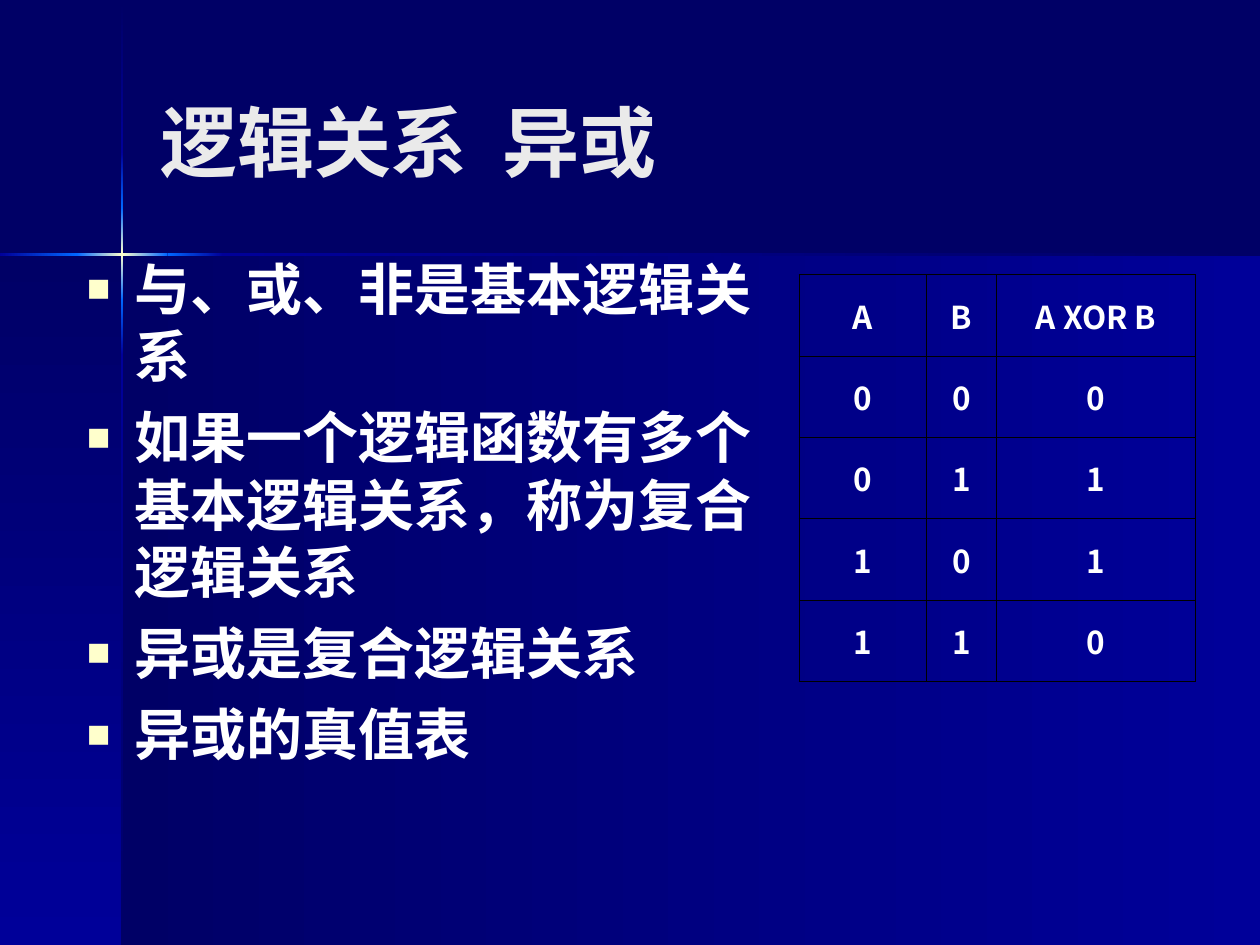
import copy
import dataclasses
import itertools

import lxml.etree
import pptx
import pptx.dml.color
import pptx.enum.shapes
import pptx.enum.text
import pptx.oxml.ns
import pptx.util

RGBColor = pptx.dml.color.RGBColor
NIGHT = RGBColor(0x00, 0x00, 0x66)
BLUE = RGBColor(0x00, 0x00, 0x99)
BRIGHT = RGBColor(0x00, 0x66, 0xFF)
CREAM = RGBColor(0xFF, 0xFF, 0xCC)
SILVER = RGBColor(0xEA, 0xEA, 0xEA)
WHITE = RGBColor(0xFF, 0xFF, 0xFF)
BLACK = RGBColor(0x00, 0x00, 0x00)

NOTO = "Noto Sans CJK SC"
DEJAVU = "DejaVu Sans"

# The slide is a grid of 100 columns by 75 rows.
SLIDE_WIDTH = pptx.util.Inches(10)
SLIDE_HEIGHT = pptx.util.Inches(7.5)
COLUMN = SLIDE_WIDTH // 100
ROW = SLIDE_HEIGHT // 75


@dataclasses.dataclass(frozen=True)
class Area:
    """A place on the slide, in columns and rows."""
    left: float
    top: float
    width: float
    height: float

    def box(self) -> dict[str, int]:
        return {
            "left": round(self.left * COLUMN),
            "top": round(self.top * ROW),
            "width": round(self.width * COLUMN),
            "height": round(self.height * ROW),
        }


@dataclasses.dataclass(frozen=True)
class Band:
    area: Area
    colors: tuple[RGBColor, ...]
    vertical: bool = False


GLOW = (BRIGHT, CREAM, BRIGHT)
HORIZONTAL_EDGES = (0, 6.1, 13.3, 17.7, 100)
HORIZONTAL_COLORS = ((BLUE, BRIGHT), GLOW, (BRIGHT, BLUE), (BLUE, NIGHT))
VERTICAL_EDGES = (0.1, 12.1, 16.5, 23.8, 28.2, 75)
VERTICAL_COLORS = ((NIGHT, BLUE),) + HORIZONTAL_COLORS

BANDS = [
    Band(Area(9.7, 20.2, 90.3, 54.8), (NIGHT, BLUE)),
    Band(Area(0, 20.2, 9.7, 54.8), (NIGHT, BLUE), True),
    *(Band(Area(9.6, start, 0.2, end - start), colors, True)
      for (start, end), colors in zip(itertools.pairwise(VERTICAL_EDGES), VERTICAL_COLORS)),
    *(Band(Area(start, 20.1, end - start, 0.2), colors)
      for (start, end), colors in zip(itertools.pairwise(HORIZONTAL_EDGES), HORIZONTAL_COLORS)),
]

TITLE = "逻辑关系  异或"
TITLE_AREA = Area(11.7, 3.3, 82.5, 15.7)
POINTS = (
    ("与、或、非是基本逻辑关系", DEJAVU),
    ("如果一个逻辑函数有多个基本逻辑关系，称为复合逻辑关系", DEJAVU),
    ("异或是复合逻辑关系", DEJAVU),
    ("异或的真值表", NOTO),
)
POINTS_AREA = Area(5.9, 19.7, 56.7, 47.7)

TRUTH_TABLE = [("A", "B", "A XOR B")] + [
    (str(a), str(b), str(a ^ b)) for a, b in itertools.product((0, 1), repeat=2)
]
TABLE_AREA = Area(63.4, 21.8, 31.5, 32.3)
TABLE_COLUMNS = (10.1, 5.6, 15.8)
VERTICAL_RULES = (0.34, 0.34, 0.96, 0.34)
HORIZONTAL_RULE = 0.45


def set_format(target: object, values: dict[str, object]) -> None:
    for name, value in values.items():
        setattr(target, name, value)


def format_font(paragraph, size: float, color: RGBColor, latin: str, east_asian: str) -> None:
    for run in paragraph.runs:
        set_format(run.font, {"size": pptx.util.Pt(size), "bold": True, "name": latin})
        run.font.color.rgb = color
        latin_element = run.font._element.find(pptx.oxml.ns.qn("a:latin"))
        east_asian_element = lxml.etree.Element(pptx.oxml.ns.qn("a:ea"), typeface=east_asian)
        latin_element.addnext(east_asian_element)


def draw_band(slide, band: Band) -> None:
    shape = slide.shapes.add_shape(
        pptx.enum.shapes.MSO_SHAPE.RECTANGLE, **band.area.box())
    shape.shadow.inherit = False
    shape.line.fill.background()
    shape.fill.gradient()
    shape.fill.gradient_angle = 270 if band.vertical else 0
    if len(band.colors) == 3:
        first = shape.element.find(".//" + pptx.oxml.ns.qn("a:gs"))
        first.addnext(copy.deepcopy(first))
    last = len(band.colors) - 1
    for index, (stop, color) in enumerate(zip(shape.fill.gradient_stops, band.colors)):
        stop.color.rgb = color
        stop.position = index / last


def place_text(slide, placeholder, area: Area, anchor):
    """Bring a placeholder in front of the bands and return its emptied frame."""
    set_format(placeholder, area.box())
    slide.shapes.element.append(placeholder.element)
    frame = placeholder.text_frame
    set_format(frame, {
        "vertical_anchor": anchor,
        "word_wrap": True,
        "auto_size": pptx.enum.text.MSO_AUTO_SIZE.NONE,
    })
    return frame


def add_bullet(paragraph) -> None:
    properties = paragraph._p.get_or_add_pPr()
    indent = pptx.util.Inches(0.38)
    properties.set("marL", str(indent))
    properties.set("indent", str(-indent))
    qn = pptx.oxml.ns.qn
    color = lxml.etree.SubElement(properties, qn("a:buClr"))
    lxml.etree.SubElement(color, qn("a:srgbClr"), val=str(CREAM))
    lxml.etree.SubElement(properties, qn("a:buSzPct"), val="70000")
    lxml.etree.SubElement(properties, qn("a:buChar"), char="■")


def draw_title(slide) -> None:
    frame = place_text(slide, slide.shapes.title, TITLE_AREA, pptx.enum.text.MSO_ANCHOR.MIDDLE)
    frame.text = TITLE
    paragraph = frame.paragraphs[0]
    paragraph.alignment = pptx.enum.text.PP_ALIGN.LEFT
    format_font(paragraph, 44, SILVER, NOTO, NOTO)


def draw_points(slide) -> None:
    frame = place_text(slide, slide.placeholders[1], POINTS_AREA, pptx.enum.text.MSO_ANCHOR.TOP)
    frame.text = "\n".join(text for text, _ in POINTS)
    for index, (paragraph, (_, latin)) in enumerate(zip(frame.paragraphs, POINTS)):
        add_bullet(paragraph)
        paragraph.space_before = pptx.util.Pt(8 if index else 0)
        format_font(paragraph, 32, WHITE, latin, DEJAVU)


def draw_borders(cell, left: float, right: float) -> None:
    properties = cell._tc.get_or_add_tcPr()
    qn = pptx.oxml.ns.qn
    widths = {"a:lnL": left, "a:lnR": right, "a:lnT": HORIZONTAL_RULE, "a:lnB": HORIZONTAL_RULE}
    for index, (tag, width) in enumerate(widths.items()):
        line = lxml.etree.Element(qn(tag), w=str(pptx.util.Pt(width)))
        fill = lxml.etree.SubElement(line, qn("a:solidFill"))
        lxml.etree.SubElement(fill, qn("a:srgbClr"), val=str(BLACK))
        properties.insert(index, line)


def draw_truth_table(slide) -> None:
    table = slide.shapes.add_table(
        len(TRUTH_TABLE), len(TABLE_COLUMNS), **TABLE_AREA.box()).table
    set_format(table, {"first_row": False, "horz_banding": False})
    for column, width in zip(table.columns, TABLE_COLUMNS):
        column.width = round(width * COLUMN)
    for row, texts in zip(table.rows, TRUTH_TABLE):
        for cell, text, rules in zip(row.cells, texts, itertools.pairwise(VERTICAL_RULES)):
            cell.text = text
            cell.vertical_anchor = pptx.enum.text.MSO_ANCHOR.MIDDLE
            cell.fill.background()
            draw_borders(cell, *rules)
            paragraph = cell.text_frame.paragraphs[0]
            paragraph.alignment = pptx.enum.text.PP_ALIGN.CENTER
            format_font(paragraph, 18, WHITE, NOTO, NOTO)


def main() -> None:
    presentation = pptx.Presentation()
    set_format(presentation, {"slide_width": SLIDE_WIDTH, "slide_height": SLIDE_HEIGHT})
    slide = presentation.slides.add_slide(presentation.slide_layouts[1])
    slide.background.fill.solid()
    slide.background.fill.fore_color.rgb = NIGHT
    for band in BANDS:
        draw_band(slide, band)
    draw_title(slide)
    draw_points(slide)
    draw_truth_table(slide)
    presentation.save("out.pptx")


if __name__ == "__main__":
    main()
